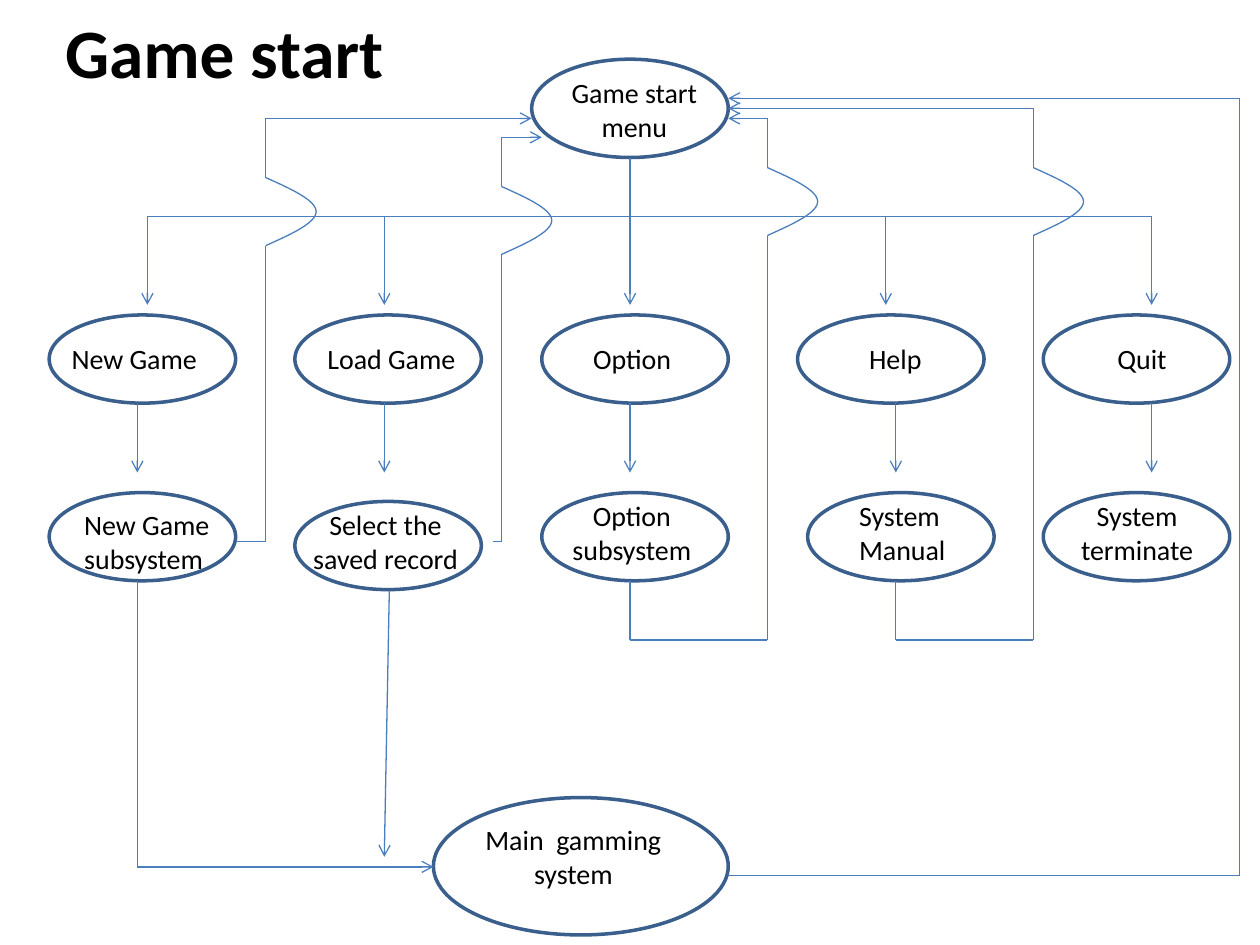
from pptx import Presentation
from pptx.util import Inches, Pt
from pptx.dml.color import RGBColor
from pptx.enum.shapes import MSO_SHAPE as Shape, MSO_CONNECTOR as Link
from pptx.enum.text import PP_ALIGN as Align, MSO_ANCHOR as Anchor
from pptx.oxml.ns import qn
from lxml.etree import SubElement as Sub

EDGE, WIRE, INK = "3A5F8C", "4B7EBC", "000000"
FONT = "Calibri"
LEFT, MID = Align.LEFT, Align.CENTER
BUS, ROW1, ROW2 = 1.72, 2.5, 3.91
WIDE, HIGH = 1.48, 0.7

# Columns: ellipse 1 left, ellipse 2 left and top, drop x, step x
cols = [
    (0.39, 0.39, ROW2, 1.17, 1.09),
    (2.34, 2.34, 3.98, 3.05, 3.05),
    (4.3, 4.3, ROW2, 5, 5),
    (6.33, 6.41, ROW2, 7.03, 7.11),
    (8.28, 8.28, ROW2, 9.14, 9.14),
]

# Labels: lines, left, top, width, alignment
labels = [
    (["Game start", "menu"], 4.42, 0.55, 1.23, MID),
    (["New Game"], 0.47, 2.66, 1.23, LEFT),
    (["Load Game"], 2.5, 2.66, 1.23, LEFT),
    (["Option"], 4.61, 2.66, 1.23, LEFT),
    (["Help"], 6.8, 2.66, 1.23, LEFT),
    (["Quit"], 8.77, 2.66, 1.23, LEFT),
    (["New Game", "subsystem"], 0.57, 3.98, 1.23, LEFT),
    (["Select the", "saved record"], 2.24, 3.98, 1.64, MID),
    (["Option", "subsystem"], 4.4, 3.91, 1.23, MID),
    (["System", "Manual"], 6.72, 3.91, 1.23, LEFT),
    (["System", "terminate"], 8.41, 3.91, 1.23, MID),
    (["Main  gamming", "system"], 3.69, 6.48, 1.72, MID),
]

# Return loops: start points, riser x, bump top, end point
loops = [
    ([(1.87, 4.3), (2.11, 4.3)], 2.11, 1.41, (4.22, 0.94)),
    ([(3.91, 4.3), (3.98, 4.3)], 3.98, 1.48, (4.3, 1.09)),
    ([(5, 4.61), (5, 5.08), (6.09, 5.08)], 6.09, 1.33, (5.78, 0.94)),
    ([(7.11, 4.61), (7.11, 5.08), (8.2, 5.08)], 8.2, 1.33, (5.78, 0.86)),
]

# Other routes that end in an arrow
routes = [
    [(1.09, 4.61), (1.09, 6.88), (3.44, 6.88)],
    [(3.09, 4.69), (3.05, 6.8)],
    [(5.78, 6.95), (9.84, 6.95), (9.84, 0.78), (5.78, 0.78)],
]

BUMP_W, BUMP_H, STEPS = 0.4, 0.54, 12

prs = Presentation()
prs.slide_width, prs.slide_height = Inches(10), Inches(7.5)
slide = prs.slides.add_slide(prs.slide_layouts[6])
shapes = slide.shapes


def color(code):
    return RGBColor.from_string(code)


def outline(shape, code, width):
    shape.line.color.rgb = color(code)
    shape.line.width = Pt(width)


def oval(x, y, w=WIDE, h=HIGH):
    shape = shapes.add_shape(Shape.OVAL, Inches(x), Inches(y), Inches(w), Inches(h))
    shape.shadow.inherit = False
    shape.fill.background()
    outline(shape, EDGE, 2)


def label(lines, x, y, w, align, size=16, bold=False):
    box = shapes.add_textbox(Inches(x), Inches(y), Inches(w),
                             Inches(0.64 if len(lines) > 1 or bold else 0.37))
    frame = box.text_frame
    frame.word_wrap = True
    frame.vertical_anchor = Anchor.MIDDLE if bold else Anchor.TOP
    frame.text = "\n".join(lines)
    for para in frame.paragraphs:
        para.alignment = align
        for run in para.runs:
            font = run.font
            font.name, font.size, font.bold = FONT, Pt(size), bold
            font.color.rgb = color(INK)


def route(points, arrow=True):
    for start, end in zip(points, points[1:]):
        wire = shapes.add_connector(Link.STRAIGHT, *map(Inches, start + end))
        outline(wire, WIRE, 0.75)
        Sub(wire._element.spPr, qn("a:effectLst"))
    if arrow:
        Sub(wire.line._get_or_add_ln(), qn("a:tailEnd"), type="arrow")


def bump(x, top):
    # Half of a cubic curve, then its mirror image
    half = []
    for i in range(STEPS + 1):
        t = i / STEPS
        s = 1 - t
        across = BUMP_W * (1.5 * s * s * t + 3 * s * t * t + t ** 3)
        half.append((across, BUMP_H * t / 2))
    full = half + [(a, BUMP_H - d) for a, d in half[-2::-1]]
    pts = [(Inches(x + a), Inches(top + d)) for a, d in full]
    form = shapes.build_freeform(*pts[0])
    form.add_line_segments(pts[1:], close=False)
    curve = form.convert_to_shape()
    curve.shadow.inherit = False
    curve.fill.background()
    outline(curve, WIRE, 0.75)


# Menu, main system and the bus between menu and columns
oval(4.22, 0.47, 1.56, 0.78)
oval(3.44, 6.33, 2.34, 1.09)
route([(5, 1.25), (5, BUS)], arrow=False)
route([(cols[0][3], BUS), (cols[-1][3], BUS)], arrow=False)

# Columns
for x1, x2, y2, drop, step in cols:
    oval(x1, ROW1)
    oval(x2, y2)
    route([(drop, BUS), (drop, 2.42)])
    route([(step, ROW1 + HIGH), (step, 3.75)])

# Return loops hop over the bus
for start, x, top, end in loops:
    route(start + [(x, top + BUMP_H)], arrow=False)
    bump(x, top)
    route([(x, top), (x, end[1]), end])

for points in routes:
    route(points)

# Text
for item in labels:
    label(*item)
label(["Game start"], 0, 0.08, 3.56, MID, 39.6, True)

prs.save("out.pptx")
